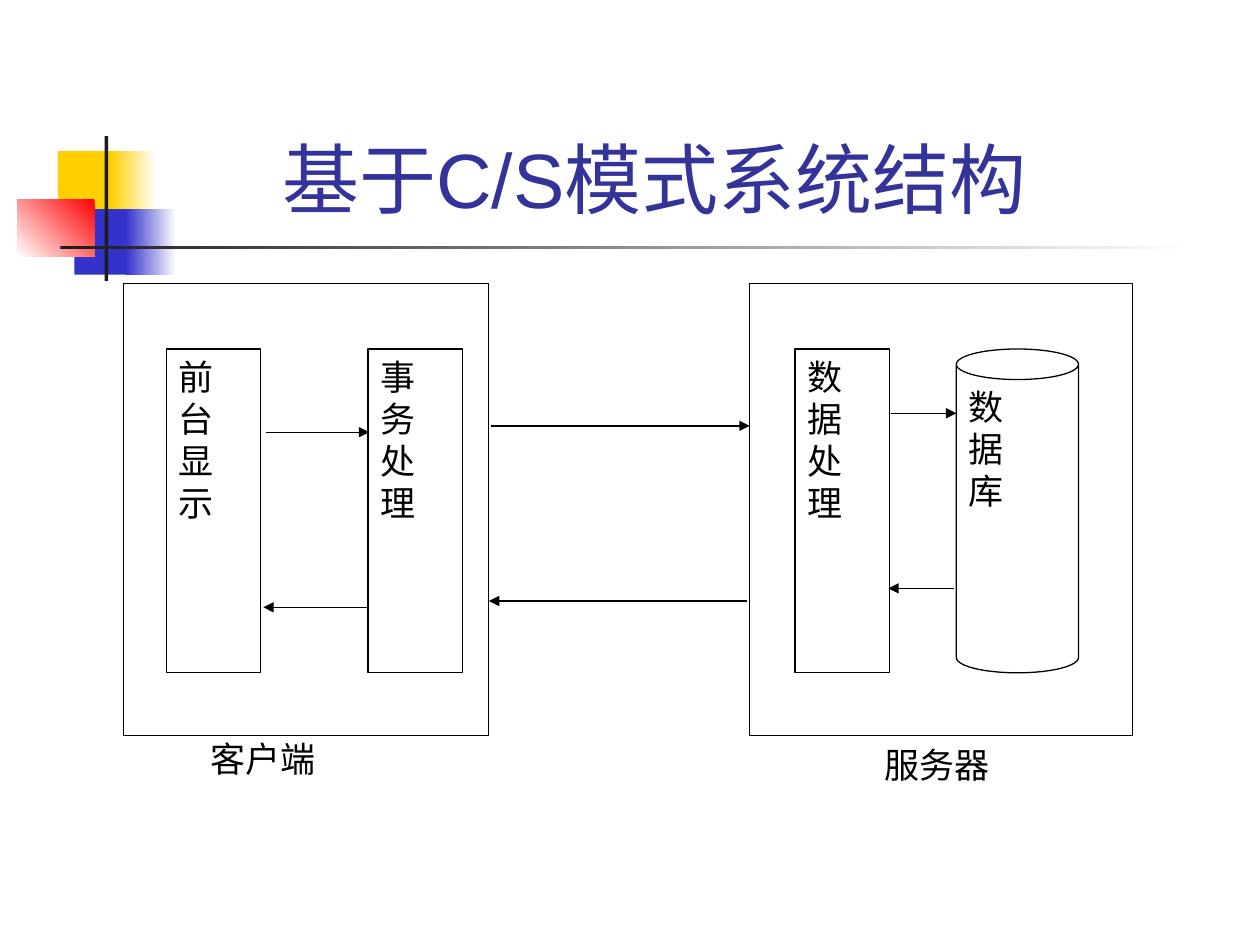
from dataclasses import dataclass

from pptx import Presentation
from pptx.dml.color import RGBColor as Color
from pptx.enum.shapes import MSO_CONNECTOR as Connector, MSO_SHAPE as Shape
from pptx.enum.text import MSO_ANCHOR as Anchor, PP_ALIGN as Align
from pptx.oxml.ns import qn
from pptx.util import Inches, Pt
from lxml.etree import SubElement


@dataclass(frozen=True)
class Theme:
    ink: str = "000000"
    paper: str = "FFFFFF"
    title: str = "333399"
    yellow: str = "FFCF01"
    blue: str = "3333CC"
    red: str = "FF0000"
    rule: str = "1C1C1C"
    title_font: str = "Arial"
    body_font: str = "Times New Roman"
    title_size: int = 44
    body_size: int = 20
    line_width: float = 0.75


def write_text(frame, text, *, font, size, color, align,
               anchor=Anchor.TOP, margins=(0.1, 0.05)):
    frame.word_wrap = True
    frame.vertical_anchor = anchor
    frame.margin_left = frame.margin_right = Inches(margins[0])
    frame.margin_top = frame.margin_bottom = Inches(margins[1])
    for index, line in enumerate(text.split("\n")):
        para = frame.paragraphs[0] if index == 0 else frame.add_paragraph()
        para.alignment = align
        span = para.add_run()
        span.text = line
        span.font.name = font
        span.font.size = Pt(size)
        span.font.color.rgb = Color.from_string(color)


class SlideBuilder:
    def __init__(self, page, theme):
        self.page = page
        self.theme = theme
        self.body_style = dict(font=theme.body_font, size=theme.body_size,
                               color=theme.ink, align=Align.JUSTIFY)

    def title(self, text, *place):
        box = self.page.shapes.title
        box.left, box.top, box.width, box.height = map(Inches, place)
        write_text(box.text_frame, text, font=self.theme.title_font,
                   size=self.theme.title_size, color=self.theme.title,
                   align=Align.CENTER, anchor=Anchor.BOTTOM)

    def shape(self, kind, place):
        box = self.page.shapes.add_shape(kind, *map(Inches, place))
        box.shadow.inherit = False
        return box

    def block(self, color, *place):
        box = self.shape(Shape.RECTANGLE, place)
        box.fill.solid()
        box.fill.fore_color.rgb = Color.from_string(color)
        box.line.fill.background()

    def fade(self, color, *place, angle=0):
        box = self.shape(Shape.RECTANGLE, place)
        box.fill.gradient()
        box.fill.gradient_angle = angle
        for stop, shade in zip(box.fill.gradient_stops, (color, self.theme.paper)):
            stop.color.rgb = Color.from_string(shade)
        box.line.fill.background()

    def node(self, text, *place, kind=Shape.RECTANGLE):
        box = self.shape(kind, place)
        box.fill.solid()
        box.fill.fore_color.rgb = Color.from_string(self.theme.paper)
        box.line.color.rgb = Color.from_string(self.theme.ink)
        box.line.width = Pt(self.theme.line_width)
        if text:
            write_text(box.text_frame, text, **self.body_style)

    def label(self, text, *place):
        box = self.page.shapes.add_textbox(*map(Inches, place))
        write_text(box.text_frame, text, margins=(0, 0), **self.body_style)

    def arrow(self, start, end, y):
        line = self.page.shapes.add_connector(
            Connector.STRAIGHT, *map(Inches, (start, y, end, y)))
        line.line.color.rgb = Color.from_string(self.theme.ink)
        line.line.width = Pt(self.theme.line_width)
        SubElement(line.line._get_or_add_ln(), qn("a:tailEnd"), type="triangle")
        SubElement(line._element.spPr, qn("a:effectLst"))


def main():
    deck = Presentation()
    deck.slide_width, deck.slide_height = Inches(10), Inches(7.5)
    theme = Theme()
    slide = SlideBuilder(deck.slides.add_slide(deck.slide_layouts[5]), theme)

    slide.block(theme.yellow, 0.46, 1.2, 0.48, 0.52)
    slide.fade(theme.yellow, 0.88, 1.2, 0.36, 0.52)
    slide.block(theme.blue, 0.59, 1.66, 0.46, 0.52)
    slide.fade(theme.blue, 1, 1.66, 0.4, 0.52)
    slide.fade(theme.red, 0.14, 1.58, 0.61, 0.46, angle=225)
    slide.block(theme.rule, 0.83, 1.08, 0.03, 1.15)
    slide.fade(theme.rule, 0.48, 1.95, 9, 0.03)
    slide.title("基于C/S模式系统结构 ", 0.75, 0.23, 9.03, 1.6)

    slide.label("客户端", 1.67, 5.85, 0.97, 0.51)
    slide.label("服务器", 7.02, 5.9, 0.97, 0.51)
    for left, width in ((0.98, 2.9), (5.95, 3.04)):
        slide.node("", left, 2.25, width, 3.59)

    node_top, node_width, node_height = 2.77, 0.75, 2.57
    for text, left in (("前台\n显示", 1.32), ("事务处理", 2.92), ("数据处理", 6.31)):
        slide.node(text, left, node_top, node_width, node_height)
    slide.node("数\n据\n库", 7.59, node_top, 0.97, node_height, kind=Shape.CAN)

    return_shift, return_drop = 0.02, 1.39
    for start, end, y in ((3.9, 5.95, 3.38), (7.07, 7.59, 3.28), (2.11, 2.93, 3.43)):
        slide.arrow(start, end, y)
        slide.arrow(end - return_shift, start - return_shift, y + return_drop)

    deck.save("out.pptx")


if __name__ == "__main__":
    main()
